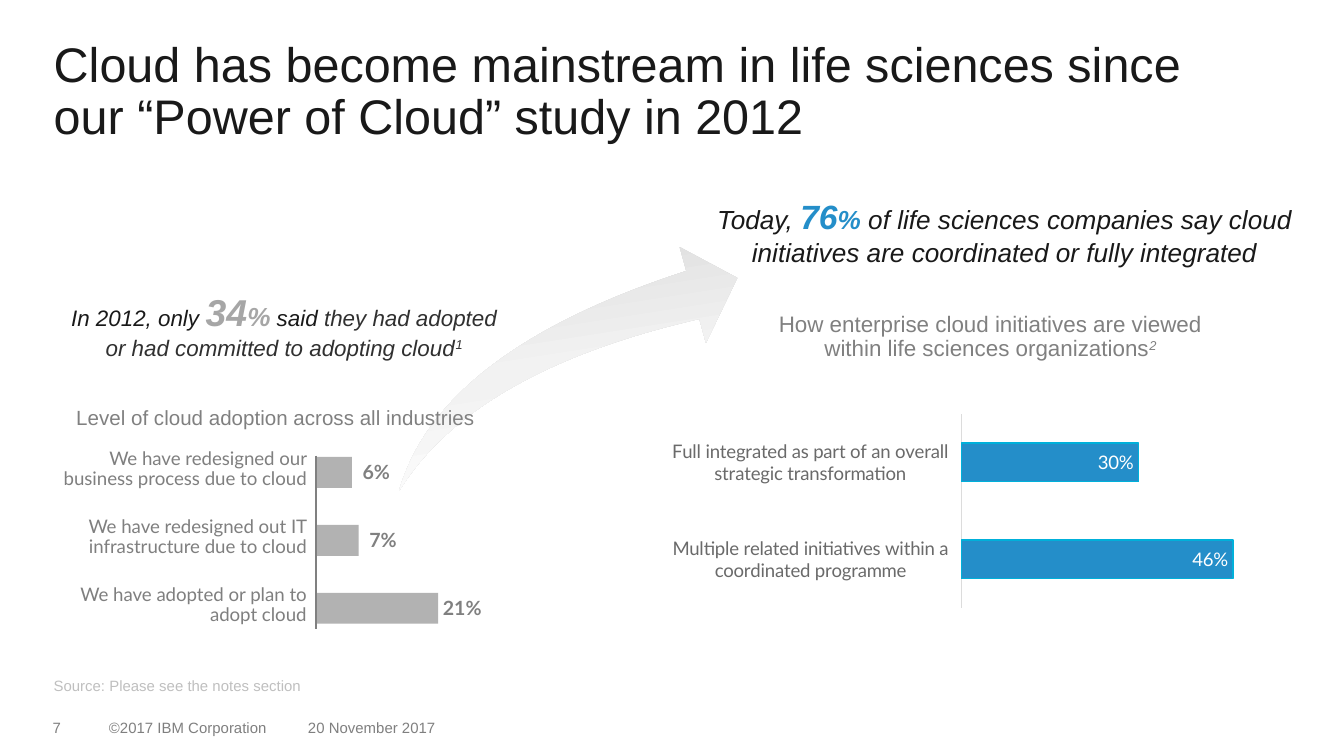
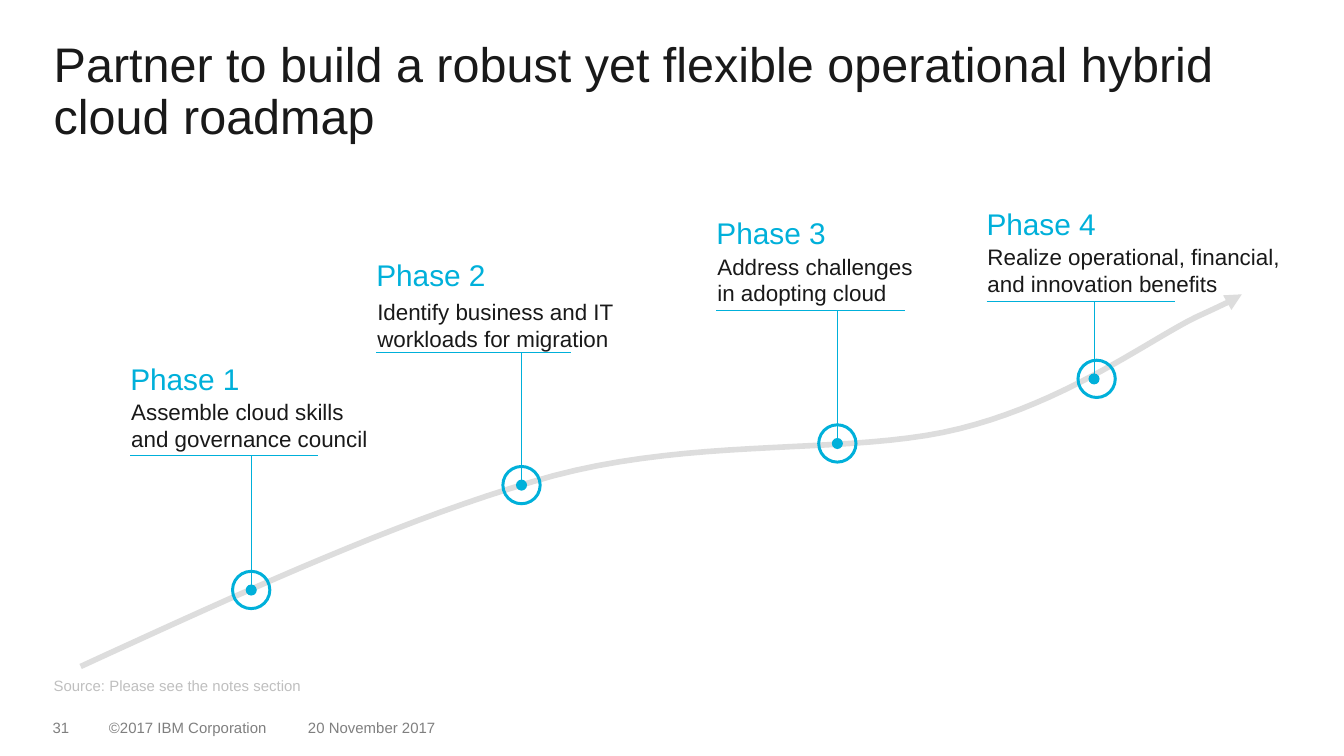
from dataclasses import dataclass
from typing import NamedTuple

from lxml.etree import SubElement
from pptx import Presentation
from pptx.chart.data import CategoryChartData
from pptx.dml.color import RGBColor
from pptx.enum.chart import XL_CHART_TYPE, XL_LABEL_POSITION, XL_TICK_LABEL_POSITION, XL_TICK_MARK
from pptx.enum.shapes import MSO_CONNECTOR, MSO_SHAPE
from pptx.enum.text import MSO_ANCHOR, PP_ALIGN
from pptx.oxml import parse_xml
from pptx.oxml.ns import nsdecls, qn
from pptx.util import Pt


@dataclass(frozen=True)
class Theme:
    ink: str = "191919"
    soft: str = "303030"
    grey: str = "7F7F7F"
    mid: str = "808080"
    label: str = "6A6A6A"
    pale: str = "BFBFBF"
    past: str = "A6A6A6"
    bar: str = "B2B2B2"
    rule: str = "DCDCDC"
    curve: str = "DDDDDD"
    blue: str = "248EC9"
    cyan: str = "00B0DA"
    white: str = "FFFFFF"
    sans: str = "Arial"
    data: str = "Lato"
    title: float = 26
    large: float = 20
    big: float = 18
    phase: float = 16
    lead: float = 14
    body: float = 12
    small: float = 11
    value: float = 10.5
    tick: float = 10
    foot: float = 8


T = Theme()


class Phase(NamedTuple):
    name: str
    text: str
    left: float
    line: float      # height of the underline
    wide: float      # width of the text
    stem: float
    foot: float      # lower end of the stem
    span: float = 100.8
    rise: float = 38.1
    shift: float = 0  # ring centre to the right of the stem


PHASES = [
    Phase("Phase 1", "Assemble cloud skills and governance council",
          69.8, 244.1, 136, 134.6, 316.1),
    Phase("Phase 2", "Identify business and IT workloads for migration",
          201.6, 188.6, 176.4, 279.4, 259.9, span=104.4, rise=36),
    Phase("Phase 3", "Address challenges in adopting cloud",
          383.8, 166.3, 121, 448.6, 237.6),
    Phase("Phase 4", "Realize operational, financial, and innovation benefits",
          528.5, 161.3, 176.4, 586.1, 203, shift=1.4),
]
BARS = [
    ("We have redesigned our business process due to cloud", "6%", 19.4, 135.4),
    ("We have redesigned out IT infrastructure due to cloud", "7%", 23, 126),
    ("We have adopted or plan to adopt cloud", "21%", 65.5, 126),
]
CURVES = [
    [(43.2, 357.1), (131, 316.8), (218.2, 276.5), (296.6, 254.9)],
    [(296.6, 254.9), (375.1, 234), (456.5, 244.1), (514.1, 229.7)],
    [(514.1, 229.7), (571.7, 215.3), (615.6, 182.2), (640.8, 169.9)],
    [(640.8, 169.9), (666, 158.4), (666, 157.7), (665.3, 157.7)],
]


def rgb(code):
    return RGBColor.from_string(code)


def pts(*values):
    return [Pt(v) for v in values]


def put(item, **values):
    for key, value in values.items():
        setattr(item, key, value)


def style(font, size, color, name=T.sans, **rest):
    put(font, size=Pt(size), name=name, **rest)
    font.color.rgb = rgb(color)


def text(slide, box, runs, align=PP_ALIGN.LEFT, inset=(0, 0, 0, 0),
         lines=0.9, anchor=MSO_ANCHOR.TOP, wrap=True):
    """Each run is (words, format); the key base raises the run."""
    frame = slide.shapes.add_textbox(*pts(*box)).text_frame
    left, top, right, low = pts(*inset)
    put(frame, word_wrap=wrap, vertical_anchor=anchor, margin_left=left,
        margin_top=top, margin_right=right, margin_bottom=low)
    para = frame.paragraphs[0]
    put(para, alignment=align, line_spacing=lines)
    for words, form in runs:
        form = dict(form)
        base = form.pop("base", None)
        run = para.add_run()
        run.text = words
        style(run.font, **form)
        if base:
            run.font._element.set("baseline", str(base * 1000))


def shape(slide, kind, box, color):
    item = slide.shapes.add_shape(kind, *pts(*box))
    item.shadow.inherit = False
    item.fill.solid()
    item.fill.fore_color.rgb = rgb(color)
    item.line.fill.background()
    return item


def tail(item, kind):
    SubElement(item.line._get_or_add_ln(), qn("a:tailEnd"), type=kind)


def line(slide, ends, color, width):
    item = slide.shapes.add_connector(MSO_CONNECTOR.STRAIGHT, *pts(*ends))
    item.line.color.rgb = rgb(color)
    item.line.width = Pt(width)
    SubElement(item._element.spPr, qn("a:effectLst"))
    return item


def base(deck, title, number, wide):
    """Add a slide with its title, source note and footer."""
    slide = deck.slides.add_slide(deck.slide_layouts[6])
    text(slide, (28.8, 21.6, wide, 61.2), [(title, dict(size=T.title, color=T.ink))])
    text(slide, (21.6, 357.1, 219.6, 18.7),
         [("Source: Please see the notes section", dict(size=T.foot, color=T.pale))],
         inset=(7.2, 3.6, 7.2, 3.6), anchor=MSO_ANCHOR.BOTTOM)
    for left, span, words in [(28.2, 26, number), (58.4, 89.3, "©2017 IBM Corporation"),
                              (165, 79.2, "20 November 2017")]:
        text(slide, (left, 386, span, 10.8), [(words, dict(size=T.foot, color=T.grey))])
    return slide


def swoosh(slide):
    item = shape(slide, MSO_SHAPE.SWOOSH_ARROW, (204.5, 142.6, 196.6, 105.8), T.white)
    item.rotation = 351.1
    put(item.adjustments, **{})
    for i in range(2):
        item.adjustments[i] = 0.25
    stops = "".join(f'<a:gs pos="{pos}000"><a:srgbClr val="{code}"/></a:gs>'
                    for pos, code in [(0, "D9D9D9"), (50, "F2F2F2"), (100, T.white)])
    props = item._element.spPr
    props.replace(props.find(qn("a:solidFill")), parse_xml(
        f'<a:gradFill {nsdecls("a")} rotWithShape="1"><a:gsLst>{stops}</a:gsLst>'
        '<a:lin ang="5400000" scaled="0"/></a:gradFill>'))


def bars(slide):
    axis, top, step, high = 169.2, 244.8, 36.4, 16.6
    for i, (words, value, wide, room) in enumerate(BARS):
        y = top + i * step
        shape(slide, MSO_SHAPE.RECTANGLE, (axis, y, wide, high), T.bar)
        text(slide, (164.2 - room, y - 4, room, 25),
             [(words, dict(size=T.tick, color=T.grey, name=T.data))], PP_ALIGN.RIGHT)
        text(slide, (axis + wide, y + 3, 25.9, 11.5),
             [(value, dict(size=T.value, color=T.mid, name=T.data, bold=True))],
             PP_ALIGN.CENTER, wrap=False)
    line(slide, (axis, 244.1, axis, 337), T.mid, 0.75)


def chart(slide):
    data = CategoryChartData(number_format="0%")
    data.categories = ["Multiple related initiatives within a coordinated programme",
                       "Full integrated as part of an overall strategic transformation"]
    data.add_series("Series 1", (0.46, 0.3))
    item = slide.shapes.add_chart(XL_CHART_TYPE.BAR_STACKED,
                                  *pts(360, 159.8, 345.6, 167), data).chart
    put(item, has_legend=False, has_title=False)
    style(item.font, T.tick, T.ink, T.data)
    put(item.value_axis, visible=False, has_major_gridlines=False,
        minimum_scale=0, maximum_scale=0.5)
    axis = item.category_axis
    put(axis, major_tick_mark=XL_TICK_MARK.NONE, minor_tick_mark=XL_TICK_MARK.NONE,
        tick_label_position=XL_TICK_LABEL_POSITION.LOW, has_major_gridlines=False)
    style(axis.tick_labels.font, T.tick, T.label, T.data)
    axis.format.line.color.rgb = rgb(T.rule)
    axis.format.line.width = Pt(0.75)
    plot = item.plots[0]
    put(plot, gap_width=150, overlap=100, vary_by_categories=False, has_data_labels=True)
    put(plot.data_labels, show_value=True, number_format="0%",
        number_format_is_linked=False, position=XL_LABEL_POSITION.INSIDE_END)
    style(plot.data_labels.font, T.tick, T.white, T.data)
    form = plot.series[0].format
    form.fill.solid()
    form.fill.fore_color.rgb = rgb(T.blue)
    form.line.color.rgb = rgb(T.cyan)
    form.line.width = Pt(0.75)
    area = item._chartSpace.chart.plotArea
    for old in area.findall(qn("c:layout")):
        area.remove(old)
    parts = [("layoutTarget", "inner"), ("xMode", "edge"), ("yMode", "edge"),
             ("x", 0.445), ("y", 0.372), ("w", 0.461), ("h", 0.621)]
    marks = "".join(f'<c:{tag} val="{value}"/>' for tag, value in parts)
    area.insert(0, parse_xml(f'<c:layout {nsdecls("c")}><c:manualLayout>{marks}'
                             '</c:manualLayout></c:layout>'))


def trail(slide):
    """Draw the rising curve, each arc traced in short steps."""
    steps, dots = 20, []
    for arc in CURVES:
        for i in range(1, steps + 1):
            t = i / steps
            mix = ((1 - t) ** 3, 3 * t * (1 - t) ** 2, 3 * t * t * (1 - t), t ** 3)
            dots.append(tuple(Pt(sum(m * p[k] for m, p in zip(mix, arc))) for k in (0, 1)))
    pen = slide.shapes.build_freeform(*pts(*CURVES[0][0]))
    pen.add_line_segments(dots, close=False)
    item = pen.convert_to_shape()
    item.shadow.inherit = False
    item.fill.background()
    item.line.color.rgb = rgb(T.curve)
    item.line.width = Pt(3)
    tail(item, "triangle")


def stage(slide, p):
    size = 21.6
    ring = shape(slide, MSO_SHAPE.DONUT, (p.stem + p.shift - size / 2, p.foot - size / 2,
                                         size, size), T.cyan)
    ring.adjustments[0] = 0.075
    text(slide, (p.left, p.line - 54.7, 126, 28.8),
         [(p.name, dict(size=T.phase, color=T.cyan))],
         inset=(0, 0, 7.2, 0), anchor=MSO_ANCHOR.MIDDLE)
    text(slide, (p.left + 0.5, p.line - p.rise, p.wide, 28.8),
         [(p.text, dict(size=T.body, color=T.ink))], inset=(0, 7.2, 7.2, 7.2), lines=1)
    line(slide, (p.left, p.line, p.left + p.span, p.line), T.cyan, 0.5)
    tail(line(slide, (p.stem, p.line, p.stem, p.foot), T.cyan, 0.5), "oval")


def growth(deck):
    slide = base(deck, "Cloud has become mainstream in life sciences since "
                 "our “Power of Cloud” study in 2012", "7", 640.8)
    swoosh(slide)
    bars(slide)
    plain = dict(size=T.body, color=T.ink, italic=True)
    soft = dict(plain, color=T.soft)
    past = dict(plain, color=T.past, bold=True)
    text(slide, (37.4, 147.6, 229.7, 46.1), [
        ("In 2012, only ", plain), ("34", dict(past, size=T.large)),
        ("%", dict(past, size=T.lead)), (" said ", plain),
        ("they had adopted or had committed to adopting cloud", soft),
        ("1", dict(soft, base=30))], PP_ALIGN.CENTER, (0, 7.2, 0, 0), 1)
    lead = dict(plain, size=T.lead)
    now = dict(lead, color=T.blue, bold=True)
    text(slide, (381.6, 97.9, 313.2, 46.1), [
        ("Today, ", lead), ("76", dict(now, size=T.big)), ("%", now),
        (" of life sciences companies say cloud initiatives are coordinated "
         "or fully integrated", lead)], PP_ALIGN.CENTER, (0, 7.2, 0, 0), 1)
    inset = (0, 0, 7.2, 3.6)
    text(slide, (7.2, 218.2, 288, 15.8),
         [("Level of cloud adoption across all industries",
           dict(size=T.small, color=T.mid))], PP_ALIGN.CENTER, inset)
    head = dict(size=T.body, color=T.mid)
    text(slide, (401, 167.8, 266.4, 29.5), [
        ("How enterprise cloud initiatives are viewed within life sciences organizations", head),
        ("2", dict(head, italic=True, base=30))], PP_ALIGN.CENTER, inset)
    chart(slide)


def roadmap(deck):
    slide = base(deck, "Partner to build a robust yet flexible operational hybrid "
                 "cloud roadmap", "31", 676.8)
    trail(slide)
    for phase in PHASES:
        stage(slide, phase)


def main():
    deck = Presentation()
    put(deck, slide_width=Pt(720), slide_height=Pt(405))
    growth(deck)
    roadmap(deck)
    deck.save("out.pptx")


if __name__ == "__main__":
    main()
